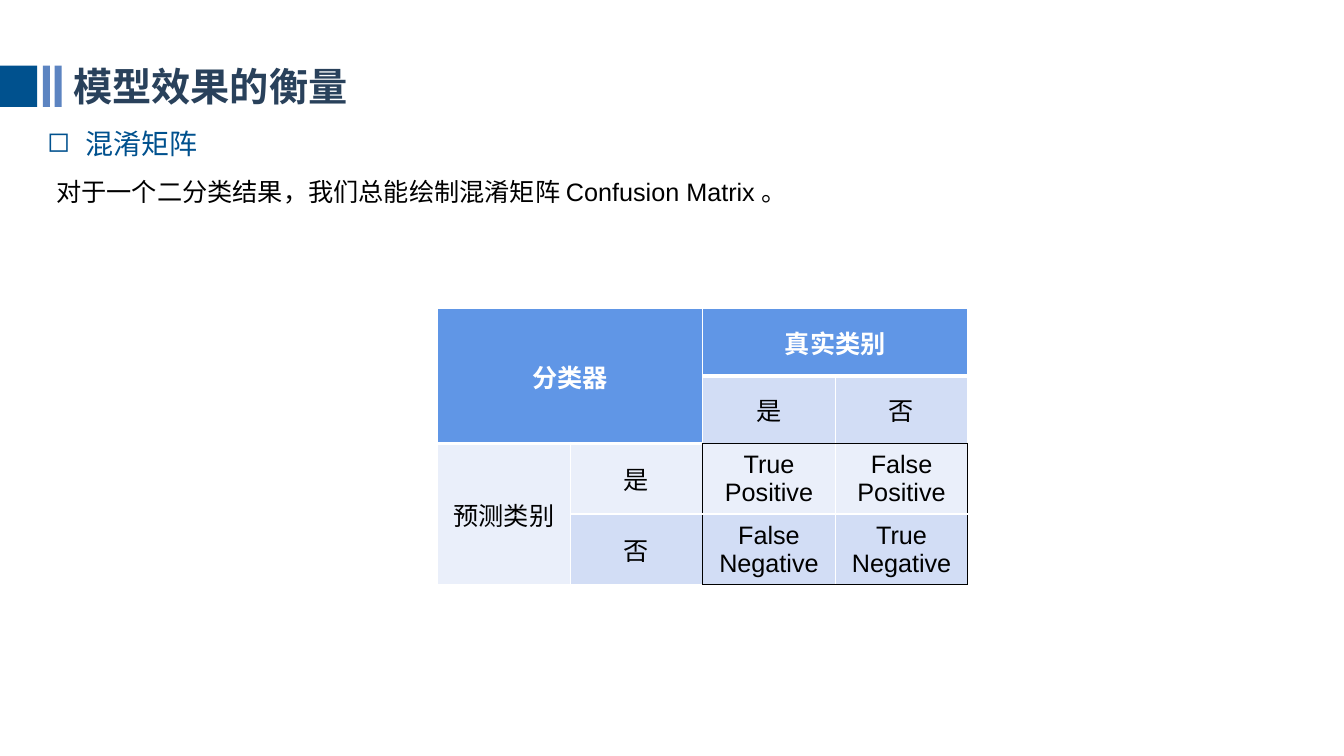
from dataclasses import dataclass

from lxml.etree import SubElement
from pptx import Presentation
from pptx.dml.color import RGBColor
from pptx.enum.shapes import MSO_SHAPE
from pptx.enum.text import MSO_ANCHOR, PP_ALIGN
from pptx.oxml.ns import qn
from pptx.slide import Slide
from pptx.table import Table, _Cell as Cell
from pptx.text.text import _Paragraph as Paragraph
from pptx.util import Pt

WHITE = RGBColor(0xFF, 0xFF, 0xFF)
BLACK = RGBColor(0, 0, 0)
NAVY = RGBColor(0x29, 0x41, 0x5B)
DEEP_BLUE = RGBColor(0x00, 0x51, 0x8E)
SOFT_BLUE = RGBColor(0x5C, 0x84, 0xC1)
HEADER_BLUE = RGBColor(0x60, 0x96, 0xE6)
BAND_DARK = RGBColor(0xD2, 0xDD, 0xF5)
BAND_LIGHT = RGBColor(0xEA, 0xEF, 0xFA)

LATIN_FONT = "Arial"
CHINESE_FONT = "Noto Sans CJK SC"
GRID_SIZE = 4
MATRIX_START = 2
MATRIX_EDGES = (MATRIX_START, GRID_SIZE)


@dataclass(frozen=True)
class Bar:
    left: float
    width: float
    color: RGBColor


@dataclass(frozen=True)
class Label:
    text: str
    left: float
    top: float
    width: float
    height: float
    size: float
    color: RGBColor
    font: str = LATIN_FONT
    bold: bool = False
    bullet: str = ""


@dataclass(frozen=True)
class Entry:
    row: int
    column: int
    text: str
    fill: RGBColor
    rows: int = 1
    columns: int = 1
    header: bool = False


BARS = [
    Bar(0, 26.64, DEEP_BLUE),
    Bar(30.6, 5.04, SOFT_BLUE),
    Bar(39, 5.04, SOFT_BLUE),
]

LABELS = [
    Label("模型效果的衡量", 45.36, 41.04, 393, 41.04, 28, NAVY, CHINESE_FONT, bold=True),
    Label("混淆矩阵", 26.64, 82.08, 681, 33.84, 20, DEEP_BLUE, bullet="◻"),
    Label("对于一个二分类结果，我们总能绘制混淆矩阵 Confusion Matrix 。",
          33.12, 122.4, 745, 28.8, 18, BLACK),
]

ENTRIES = [
    Entry(0, 0, "分类器", HEADER_BLUE, rows=2, columns=2, header=True),
    Entry(0, 2, "真实类别", HEADER_BLUE, columns=2, header=True),
    Entry(1, 2, "是", BAND_DARK),
    Entry(1, 3, "否", BAND_DARK),
    Entry(2, 0, "预测类别", BAND_LIGHT, rows=2),
    Entry(2, 1, "是", BAND_LIGHT),
    Entry(2, 2, "True Positive", BAND_LIGHT),
    Entry(2, 3, "False Positive", BAND_LIGHT),
    Entry(3, 1, "否", BAND_DARK),
    Entry(3, 2, "False Negative", BAND_DARK),
    Entry(3, 3, "True Negative", BAND_DARK),
]


def style_paragraph(paragraph: Paragraph, size: float, color: RGBColor,
                    font: str = LATIN_FONT, bold: bool = False) -> None:
    paragraph.font.size = Pt(size)
    paragraph.font.bold = bold
    paragraph.font.color.rgb = color
    paragraph.font.name = font
    properties = paragraph._p.get_or_add_pPr().find(qn("a:defRPr"))
    SubElement(properties, qn("a:ea"), typeface=CHINESE_FONT)


def add_bullet(paragraph: Paragraph, character: str) -> None:
    paragraph.line_spacing = 1.2
    properties = paragraph._p.get_or_add_pPr()
    properties.set("marL", str(Pt(27)))
    properties.set("indent", str(Pt(-27)))
    SubElement(properties, qn("a:buChar"), char=character)


def add_bar(slide: Slide, bar: Bar) -> None:
    shape = slide.shapes.add_shape(
        MSO_SHAPE.RECTANGLE, Pt(bar.left), Pt(46.8), Pt(bar.width), Pt(29.52))
    shape.shadow.inherit = False
    shape.fill.solid()
    shape.fill.fore_color.rgb = bar.color
    shape.line.fill.background()


def add_label(slide: Slide, label: Label) -> None:
    box = slide.shapes.add_textbox(
        Pt(label.left), Pt(label.top), Pt(label.width), Pt(label.height))
    box.text_frame.word_wrap = True
    paragraph = box.text_frame.paragraphs[0]
    paragraph.text = label.text
    if label.bullet:
        add_bullet(paragraph, label.bullet)
    style_paragraph(paragraph, label.size, label.color, label.font, label.bold)


def add_border(cell: Cell, side: str, color: RGBColor, width: float) -> None:
    properties = cell._tc.get_or_add_tcPr()
    line = SubElement(properties, qn(f"a:ln{side}"), w=str(Pt(width)))
    fill = SubElement(line, qn("a:solidFill"))
    SubElement(fill, qn("a:srgbClr"), val=str(color))


def add_borders(cell: Cell, row: int, column: int) -> None:
    for side, edge in (("L", column), ("R", column + 1)):
        framed = row >= MATRIX_START and edge in MATRIX_EDGES
        add_border(cell, side, BLACK if framed else WHITE, 1)
    for side, edge in (("T", row), ("B", row + 1)):
        framed = column >= MATRIX_START and edge in MATRIX_EDGES
        header_edge = 2 if column < MATRIX_START else 1
        add_border(cell, side, BLACK if framed else WHITE, 3 if edge == header_edge else 1)


def fill_entry(table: Table, entry: Entry) -> None:
    cell = table.cell(entry.row, entry.column)
    if entry.rows * entry.columns > 1:
        cell.merge(table.cell(entry.row + entry.rows - 1, entry.column + entry.columns - 1))
    cell.fill.solid()
    cell.fill.fore_color.rgb = entry.fill
    cell.vertical_anchor = MSO_ANCHOR.MIDDLE
    paragraph = cell.text_frame.paragraphs[0]
    paragraph.text = entry.text
    paragraph.alignment = PP_ALIGN.CENTER
    style_paragraph(paragraph, 18, WHITE if entry.header else BLACK, bold=entry.header)


def add_confusion_matrix(slide: Slide) -> None:
    table = slide.shapes.add_table(
        GRID_SIZE, GRID_SIZE, Pt(312.6), Pt(220.4), Pt(378.8), Pt(192.8)).table
    table.horz_banding = False
    table.first_row = False
    for row in range(GRID_SIZE):
        for column in range(GRID_SIZE):
            add_borders(table.cell(row, column), row, column)
    for entry in ENTRIES:
        fill_entry(table, entry)


def main() -> None:
    presentation = Presentation()
    presentation.slide_width = Pt(960)
    presentation.slide_height = Pt(540)
    slide = presentation.slides.add_slide(presentation.slide_layouts[6])
    for bar in BARS:
        add_bar(slide, bar)
    for label in LABELS:
        add_label(slide, label)
    add_confusion_matrix(slide)
    presentation.save("out.pptx")


if __name__ == "__main__":
    main()
